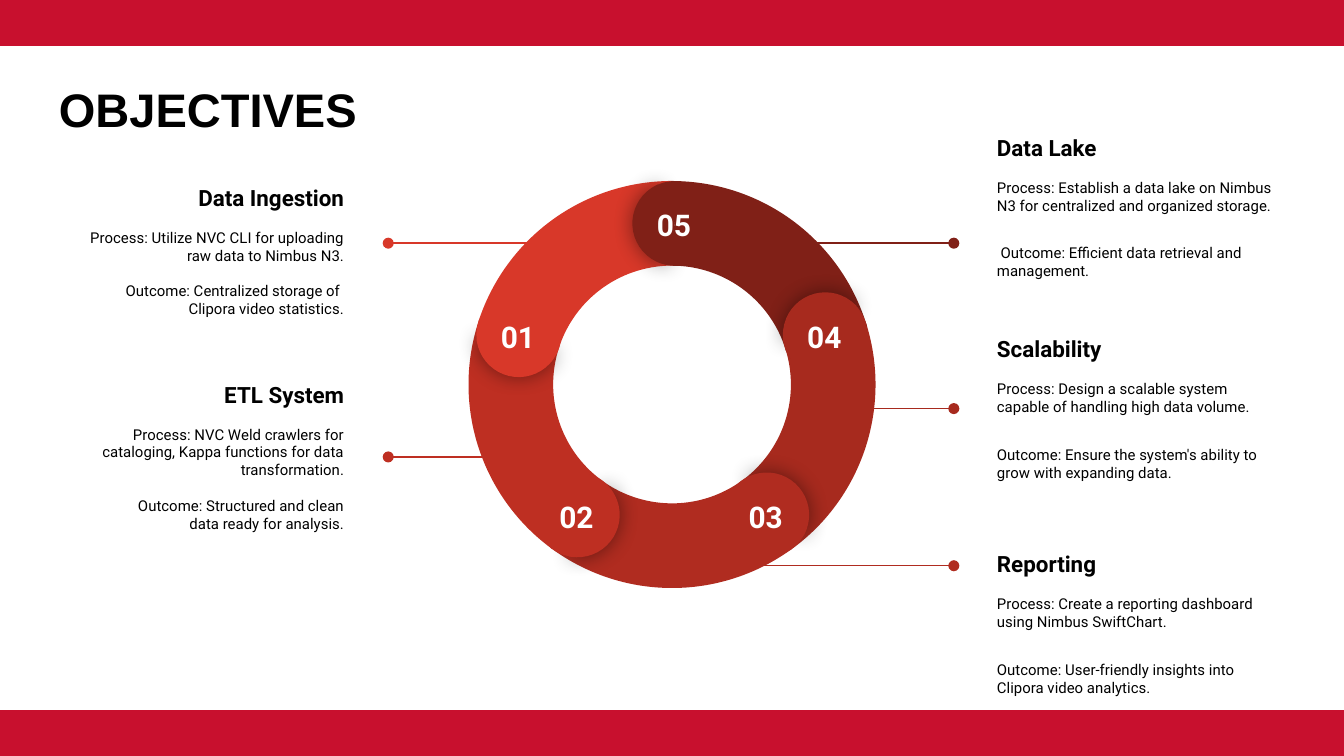
import math

import pptx
import pptx.dml.color
import pptx.enum.shapes
import pptx.enum.text
import pptx.oxml
import pptx.oxml.ns
import pptx.util

Pt = pptx.util.Pt
SHAPE = pptx.enum.shapes.MSO_SHAPE
ALIGN = pptx.enum.text.PP_ALIGN
ANCHOR = pptx.enum.text.MSO_ANCHOR

COLORS = {
    "bar": "C8102E", "text": "000000", "number": "FFFFFF",
    "01": "D83829", "02": "BE2F22", "03": "B02C20", "04": "A72A1E", "05": "802017",
}
NS = pptx.oxml.ns.nsdecls("a")
SHADOW = (f'<a:effectLst {NS}><a:outerShdw blurRad="{Pt(11.2)}" dist="0" dir="0">'
          '<a:srgbClr val="000000"><a:alpha val="43000"/></a:srgbClr>'
          '</a:outerShdw></a:effectLst>')

TITLE = {"size": Pt(25.2), "name": "Arial", "bold": True}
HEADING = {"size": Pt(12), "name": "Roboto", "bold": True}
BODY = {"size": Pt(8), "name": "Roboto", "bold": False}
NUMBER = {"size": Pt(16), "name": "Roboto", "bold": True}

LINE_GAP = 9.4  # one line of body text
LEFT_X, RIGHT_X, TEXT_W, TEXT_H = 24.5, 527, 167, 73

# segment, side, text top, line y, line start x, heading, process lines, outcome lines
CALLOUTS = [
    ("01", "left", 98, 130.3, 304.6, "Data Ingestion",
     ["Process: Utilize NVC CLI for uploading", "raw data to Nimbus N3."],
     ["Outcome: Centralized storage of ", "Clipora video statistics."]),
    ("02", "left", 208, 244.8, 281.5, "ETL System",
     ["Process: NVC Weld crawlers for cataloging, Kappa functions for data transformation."],
     ["Outcome: Structured and clean", "data ready for analysis."]),
    ("03", "right", 297.4, 303.1, 366.5, "Reporting",
     ["Process: Create a reporting dashboard using Nimbus SwiftChart."],
     ["Outcome: User-friendly insights into Clipora video analytics."]),
    ("05", "right", 74.2, 130.3, 410.4, "Data Lake",
     ["Process: Establish a data lake on Nimbus N3 for centralized and organized storage."],
     [" Outcome: Efficient data retrieval and management."]),
    ("04", "right", 182.2, 218.9, 442.1, "Scalability",
     ["Process: Design a scalable system capable of handling high data volume."],
     ["Outcome: Ensure the system's ability to grow with expanding data."]),
]
# direction of each rounded cap from the ring centre, in degrees
CAP_ANGLES = {"02": 126, "04": -18, "05": -89, "03": 54, "01": 198}


def rgb(key):
    return pptx.dml.color.RGBColor.from_string(COLORS[key])


def set_all(obj, values):
    for name, value in values.items():
        setattr(obj, name, value)


def add_text(s, box, paragraphs, color="text", anchor=ANCHOR.TOP):
    """Add a text box; each paragraph is (text, font values, paragraph values)."""
    tf = s.shapes.add_textbox(*map(Pt, box)).text_frame
    set_all(tf, {"word_wrap": True, "vertical_anchor": anchor})
    set_all(tf, {f"margin_{side}": Pt(7.2) for side in ("left", "top", "right", "bottom")})
    for i, (text, font, layout) in enumerate(paragraphs):
        p = tf.add_paragraph() if i else tf.paragraphs[0]
        set_all(p, layout)
        r = p.add_run()
        r.text = text
        set_all(r.font, font)
        r.font.color.rgb = rgb(color)


def add_filled(s, kind, box, color, rotation=0, adjustments=()):
    sp = s.shapes.add_shape(kind, *map(Pt, box))
    sp.shadow.inherit = False
    sp.fill.solid()
    sp.fill.fore_color.rgb = rgb(color)
    sp.line.fill.background()
    sp.rotation = rotation % 360
    for i, value in enumerate(adjustments):
        sp.adjustments[i] = value
    return sp


def add_bar(s, box):
    sp = add_filled(s, SHAPE.RECTANGLE, box, "bar")
    sp.line.color.rgb = rgb("bar")
    sp.line.width = Pt(0.75)


def add_dotted_line(s, x1, x2, y, color):
    """Add a horizontal line with a round dot at x2."""
    line = s.shapes.add_connector(pptx.enum.shapes.MSO_CONNECTOR.STRAIGHT,
                                  Pt(x1), Pt(y), Pt(x2), Pt(y))
    line.line.color.rgb = rgb(color)
    line.line.width = Pt(0.75)
    line.line._get_or_add_ln().append(pptx.oxml.parse_xml(f'<a:tailEnd {NS} type="oval"/>'))
    line._element.spPr.append(pptx.oxml.parse_xml(f"<a:effectLst {NS}/>"))


def add_callout(s, box, side, number, line_y, line_x, heading, process, outcome):
    x, y, w, h = box
    left = side == "left"
    add_dotted_line(s, line_x, x + w + 16.5 if left else x - 16, line_y, number)
    align = {"alignment": ALIGN.RIGHT if left else ALIGN.LEFT}
    paragraphs = [(heading, HEADING, align)]
    outcome_gap = {"space_before": Pt(LINE_GAP)} if left else {
        "space_before": Pt(16), "space_after": Pt(16)}
    for lines, gap in ((process, {"space_before": Pt(LINE_GAP)}), (outcome, outcome_gap)):
        for i, text in enumerate(lines):
            paragraphs.append((text, BODY, align if i else {**align, **gap}))
    add_text(s, box, paragraphs, anchor=ANCHOR.MIDDLE)


def add_ring(s, box, cap=45.4):
    """Add five ring segments, each with a shaded round cap and a number."""
    x, y, w, h = box
    for number, angle in CAP_ANGLES.items():
        add_filled(s, SHAPE.BLOCK_ARC, box, number, angle + 150, (126, 169.5, 0.208))
    radius = (w - cap) / 2
    centers = {}
    for number, angle in CAP_ANGLES.items():
        cx = x + w / 2 + radius * math.cos(math.radians(angle))
        cy = y + h / 2 + radius * math.sin(math.radians(angle))
        centers[number] = cx, cy
        cap_box = (cx - cap / 2, cy - cap / 2, cap, cap)
        front = add_filled(s, SHAPE.PIE, cap_box, number, angle + 85.5, (61.9, 149.96))
        sp_pr = front._element.spPr
        sp_pr.remove(sp_pr.find(pptx.oxml.ns.qn("a:effectLst")))
        sp_pr.append(pptx.oxml.parse_xml(SHADOW))
        add_filled(s, SHAPE.PIE, cap_box, number, angle + 264.8, (40.28, 171.84))
    for number, (cx, cy) in centers.items():
        add_text(s, (cx - 20.5, cy - 16, 40, 21),
                 [(number, NUMBER, {"alignment": ALIGN.CENTER})], "number")


def main():
    prs = pptx.Presentation()
    set_all(prs, {"slide_width": Pt(720), "slide_height": Pt(405)})
    s = prs.slides.add_slide(prs.slide_layouts[6])
    add_text(s, (24.5, 36, 671, 45), [("OBJECTIVES", TITLE, {})], anchor=ANCHOR.MIDDLE)
    for y in (0, 380.7):
        add_bar(s, (-3, y, 726, 24.3))
    for number, side, top, line_y, line_x, heading, process, outcome in CALLOUTS:
        box = (LEFT_X if side == "left" else RIGHT_X, top, TEXT_W, TEXT_H)
        add_callout(s, box, side, number, line_y, line_x, heading, process, outcome)
    add_ring(s, (251, 97, 218, 218))
    prs.save("out.pptx")


if __name__ == "__main__":
    main()
